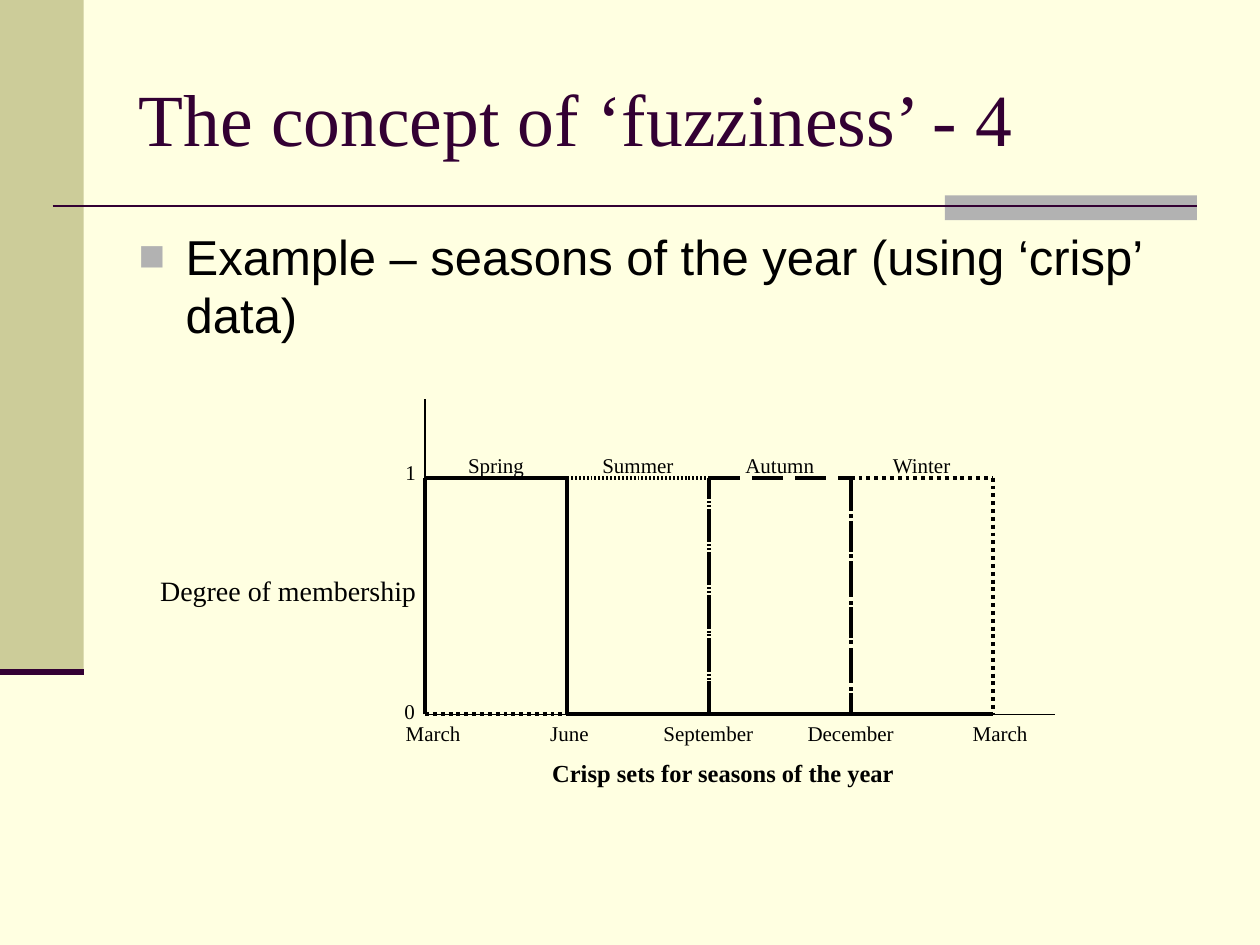
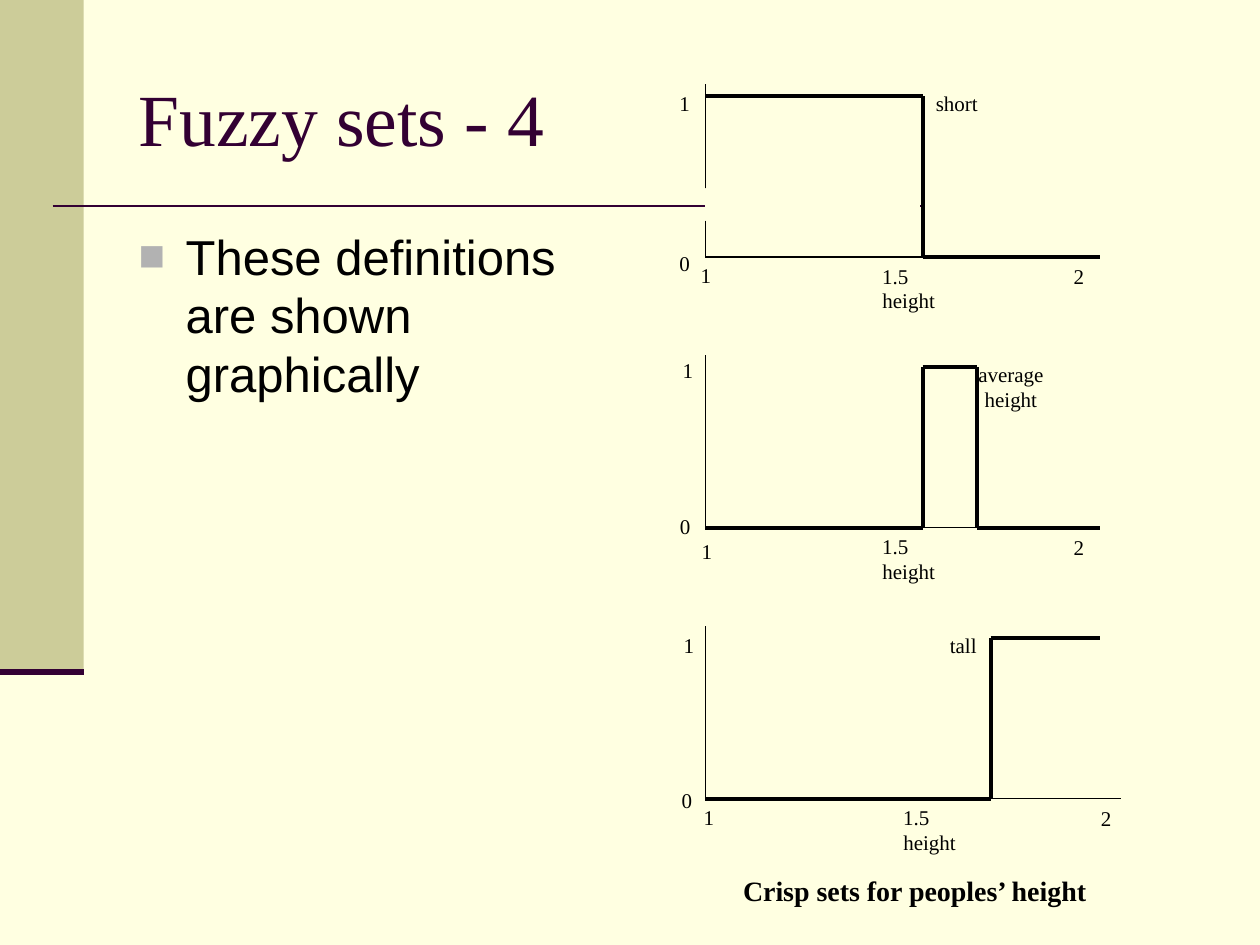
from itertools import pairwise

from pptx import Presentation
from pptx.dml.color import RGBColor
from pptx.enum.dml import MSO_LINE
from pptx.enum.shapes import MSO_CONNECTOR, MSO_SHAPE
from pptx.enum.text import MSO_ANCHOR, MSO_AUTO_SIZE, PP_ALIGN
from pptx.oxml.ns import qn
from pptx.oxml.xmlchemy import OxmlElement
from pptx.util import Cm, Pt

CREAM = RGBColor(0xFF, 0xFF, 0xE1)
KHAKI = RGBColor(0xCC, 0xCC, 0x99)
GREY = RGBColor(0xB2, 0xB2, 0xB2)
PLUM = RGBColor(0x33, 0x00, 0x33)
BLACK = RGBColor(0, 0, 0)

SERIF = "Times New Roman"
SANS = "Arial"

STRAIGHT = MSO_CONNECTOR.STRAIGHT
RECTANGLE = MSO_SHAPE.RECTANGLE
LONG_DASH = MSO_LINE.LONG_DASH
DOT = MSO_LINE.ROUND_DOT
FINE_DOT = "fine dot"
LEFT, CENTER = PP_ALIGN.LEFT, PP_ALIGN.CENTER
TOP, MIDDLE = MSO_ANCHOR.TOP, MSO_ANCHOR.MIDDLE
NO_AUTOFIT = MSO_AUTO_SIZE.NONE

THIN, THICK = 0.75, 2.25


def add_xml(parent, tag, **attrs):
    child = OxmlElement(tag)
    for name, value in attrs.items():
        child.set(name, str(value))
    parent.append(child)
    return child


def place(sp, x, y, w, h):
    sp.left, sp.top, sp.width, sp.height = Cm(x), Cm(y), Cm(w), Cm(h)


def add_run(p, text, font, size, color, bold=False):
    r = p.add_run()
    r.text = text
    r.font.name = font
    r.font.size = Pt(size)
    r.font.color.rgb = color
    r.font.bold = bold


def add_block(slide, x, y, w, h, color):
    sp = slide.shapes.add_shape(RECTANGLE, Cm(x), Cm(y), Cm(w), Cm(h))
    sp.shadow.inherit = False
    sp.fill.solid()
    sp.fill.fore_color.rgb = color
    sp.line.fill.background()
    return sp


def add_mask(slide, x, y, w, h):
    sp = add_block(slide, x, y, w, h, CREAM)
    sp.line.color.rgb = CREAM
    sp.line.width = Pt(THIN)


def add_path(slide, points, width, dash=None, color=BLACK):
    for (x1, y1), (x2, y2) in pairwise(points):
        line = slide.shapes.add_connector(
            STRAIGHT, Cm(x1), Cm(y1), Cm(x2), Cm(y2))
        line.line.color.rgb = color
        line.line.width = Pt(width)
        spPr = line._element.find(qn("p:spPr"))
        if dash == FINE_DOT:
            dashes = add_xml(spPr.find(qn("a:ln")), "a:custDash")
            add_xml(dashes, "a:ds", d=50000, sp=50000)
        elif dash:
            line.line.dash_style = dash
        add_xml(spPr, "a:effectLst")


def add_label(slide, text, center, y, w=1.4, size=12, bold=False):
    sp = slide.shapes.add_textbox(Cm(center - w / 2), Cm(y), Cm(w), Cm(0.8))
    tf = sp.text_frame
    tf.word_wrap = True
    p = tf.paragraphs[0]
    p.alignment = CENTER
    add_run(p, text, SERIF, size, BLACK, bold)


def add_title(slide, text):
    sp = slide.shapes.title
    place(sp, 2.54, 0.78, 21.59, 3.18)
    tf = sp.text_frame
    tf.auto_size = NO_AUTOFIT
    tf.vertical_anchor = MIDDLE
    p = tf.paragraphs[0]
    p.alignment = LEFT
    add_run(p, text, SERIF, 42, PLUM)


def add_bullet(slide, text, w, h):
    sp = slide.placeholders[1]
    place(sp, 2.54, 4.43, w, h)
    tf = sp.text_frame
    tf.auto_size = NO_AUTOFIT
    tf.vertical_anchor = TOP
    p = tf.paragraphs[0]
    p.space_before = Pt(7)
    pPr = p._p.get_or_add_pPr()
    pPr.set("marL", str(Cm(0.95)))
    pPr.set("indent", str(-Cm(0.95)))
    add_xml(add_xml(pPr, "a:buClr"), "a:srgbClr", val=GREY)
    add_xml(pPr, "a:buSzPct", val=90000)
    add_xml(pPr, "a:buFont", typeface=SANS)
    add_xml(pPr, "a:buChar", char="■")
    add_run(p, text, SANS, 28, BLACK)


def add_slide(prs, title, bullet, bullet_w, bullet_h):
    slide = prs.slides.add_slide(prs.slide_layouts[1])
    add_block(slide, 0, 0, 1.69, 13.55, KHAKI)
    add_block(slide, 19.05, 3.94, 5.08, 0.5, GREY)
    add_path(slide, [(1.06, 4.15), (24.13, 4.15)], 1.5, color=PLUM)
    add_path(slide, [(0, 13.55), (1.69, 13.55)], 3.5, color=PLUM)
    add_title(slide, title)
    add_bullet(slide, bullet, bullet_w, bullet_h)
    return slide


def add_seasons_chart(slide):
    x0, step, one, zero = 8.57, 2.86, 9.63, 14.4
    seasons = [("Spring", None), ("Summer", FINE_DOT),
               ("Autumn", LONG_DASH), ("Winter", DOT)]
    months = [("March", 8.73), ("June", 11.48), ("September", 14.28),
              ("December", 17.15), ("March", 20.16)]

    add_path(slide, [(x0, 8.05), (x0, zero), (21.26, zero)], THIN)
    add_path(slide, [(x0 + step, zero), (x0 + 4 * step, zero)], THICK)
    add_path(slide, [(x0, zero), (x0 + step, zero)], THICK, DOT)
    for i, (season, dash) in enumerate(seasons):
        left, right = x0 + i * step, x0 + (i + 1) * step
        add_path(slide, [(left, zero), (left, one), (right, one),
                         (right, zero)], THICK, dash)
        add_label(slide, season, (left + right) / 2, 8.99, step)
    for month, center in months:
        add_label(slide, month, center, 14.4, 2.54)

    add_label(slide, "1", 8.28, 9.14)
    add_label(slide, "0", 8.26, 13.95)
    add_label(slide, "Degree of membership", 5.81, 11.43, 5.7, 16)
    add_label(slide, "Crisp sets for seasons of the year", 14.58, 15.15,
              15.29, 14, True)


def add_height_chart(slide, index, name, name_center, steps, shift, ticks):
    x0 = 14.22
    top = 1.7 + 5.46 * index
    one, zero = top + 0.24, top + 3.48
    add_path(slide, [(x0, top), (x0, zero), (22.17 + shift, zero)], THIN)
    add_path(slide, [(x, one if level else zero) for x, level in steps], THICK)
    for text, (center, y) in zip(("1", "0", "1", "2"), ticks):
        add_label(slide, text, center, y)
    add_label(slide, "1.5", 18.05 + shift, zero)
    add_label(slide, "height", 18.32 + shift, zero + 0.5, 2.18)
    add_label(slide, name, name_center, top, 1.91)


def main():
    prs = Presentation()
    prs.slide_width, prs.slide_height = Cm(25.4), Cm(19.05)
    background = prs.slide_master.background.fill
    background.solid()
    background.fore_color.rgb = CREAM

    seasons = add_slide(prs, "The concept of ‘fuzziness’ - 4",
                        "Example – seasons of the year (using ‘crisp’ data)",
                        21.59, 2.97)
    add_seasons_chart(seasons)

    heights = add_slide(prs, "Fuzzy sets - 4",
                        "These definitions are shown graphically", 9.96, 4.24)
    start, short_end, average_end, tall_start, end = (
        14.22, 18.6, 19.7, 19.97, 22.17)
    charts = [
        ("short", 19.29,
         [(start, 1), (short_end, 1), (short_end, 0), (end, 0)], 0,
         [(13.8, 1.7), (13.8, 4.93), (14.23, 5.16), (21.75, 5.18)]),
        ("average height", 20.38,
         [(start, 0), (short_end, 0), (short_end, 1), (average_end, 1),
          (average_end, 0), (end, 0)], 0,
         [(13.87, 7.09), (13.81, 10.23), (14.25, 10.73), (21.75, 10.65)]),
        ("tall", 19.42,
         [(start, 0), (tall_start, 0), (tall_start, 1), (end, 1)], 0.42,
         [(13.89, 12.62), (13.85, 15.75), (14.29, 16.1), (22.3, 16.11)]),
    ]
    for index, chart in enumerate(charts):
        add_height_chart(heights, index, *chart)
    add_mask(heights, 18.67, 3.81, 5.46, 0.64)
    add_mask(heights, 14.22, 3.81, 4.32, 0.64)
    add_label(heights, "Crisp sets for peoples’ height", 18.44, 17.48,
              13.92, 16, True)

    prs.save("out.pptx")


if __name__ == "__main__":
    main()
